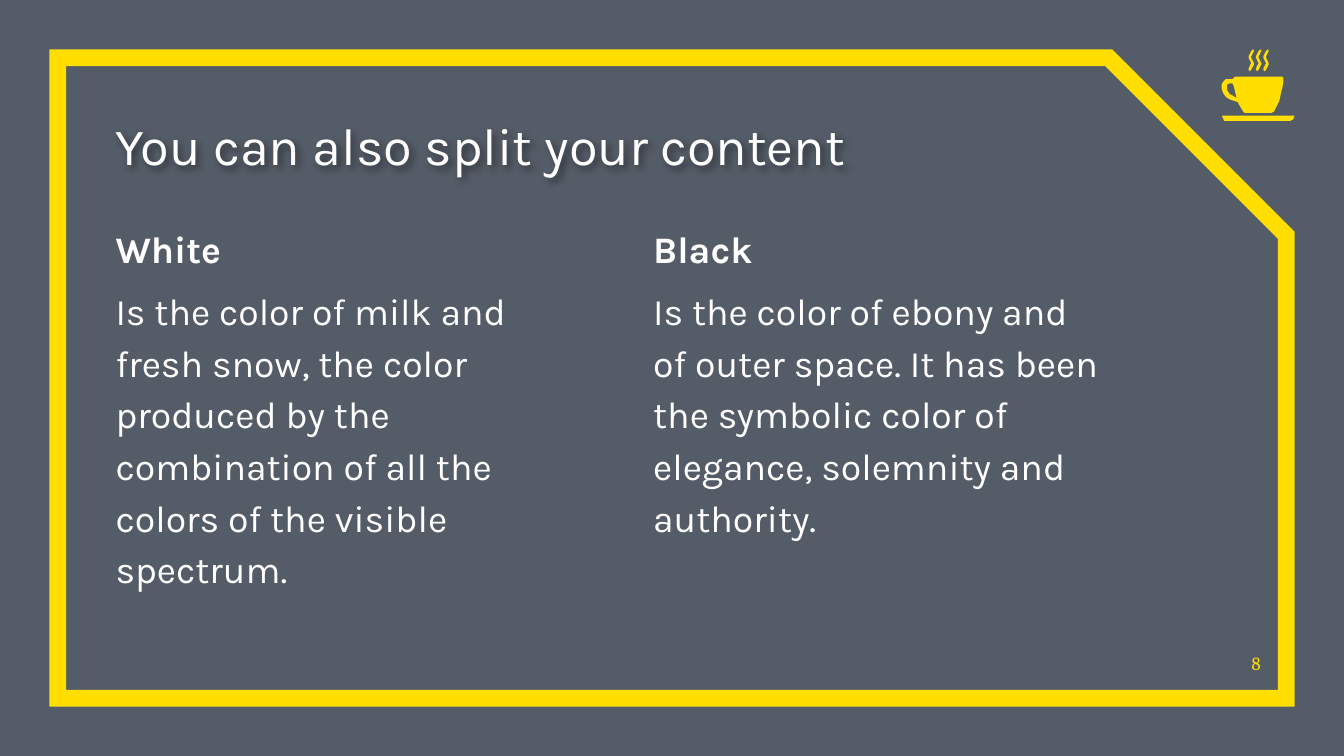
from lxml import etree
from pptx import Presentation
from pptx.dml.color import RGBColor
from pptx.enum.shapes import MSO_SHAPE as Shape
from pptx.enum.text import MSO_ANCHOR as Anchor, PP_ALIGN as Align
from pptx.oxml.ns import qn
from pptx.util import Inches, Pt

NAVY = RGBColor(0x04, 0x0F, 0x20)
YELLOW = RGBColor(0xFF, 0xDE, 0x00)
WHITE = RGBColor(0xFF, 0xFF, 0xFF)

SLIDE_WIDTH = 10
SLIDE_HEIGHT = SLIDE_WIDTH * 9 / 16
FRAME_MARGIN = 0.43
FRAME_HEIGHT = SLIDE_HEIGHT - 2 * FRAME_MARGIN
CORNER_CUT = 1.32
LEFT_MARGIN = 0.86
COLUMN_STEP = 4

COLUMNS = [
    ("White", "Is the color of milk and fresh snow, the color produced by the "
              "combination of all the colors of the visible spectrum."),
    ("Black", "Is the color of ebony and of outer space. It has been the "
              "symbolic color of elegance, solemnity and authority."),
]

HANDLE_HOLE = [
    (9.15, 0.62), (9.17, 0.62), (9.18, 0.64), (9.19, 0.68), (9.2, 0.73),
    (9.17, 0.71), (9.15, 0.7), (9.13, 0.67), (9.13, 0.63),
]
CUP = [
    (9.19, 0.57), (9.18, 0.58), (9.17, 0.59), (9.14, 0.59), (9.12, 0.59),
    (9.1, 0.61), (9.09, 0.63), (9.09, 0.66), (9.1, 0.69), (9.12, 0.72),
    (9.15, 0.74), (9.18, 0.75), (9.21, 0.76), (9.22, 0.78), (9.25, 0.83),
    (9.26, 0.84), (9.46, 0.84), (9.48, 0.83), (9.5, 0.79), (9.52, 0.75),
    (9.53, 0.7), (9.54, 0.66), (9.55, 0.61), (9.55, 0.58), (9.54, 0.57),
]
SAUCER = [
    (9.09, 0.86), (9.1, 0.88), (9.11, 0.9), (9.13, 0.9),
    (9.6, 0.9), (9.62, 0.89), (9.63, 0.87), (9.63, 0.86),
]
STEAM = [
    (0.03, 0.37), (0.02, 0.38), (0.01, 0.4), (0, 0.42), (0, 0.43),
    (0.01, 0.45), (0.02, 0.47), (0.01, 0.49), (0, 0.51), (0, 0.52),
    (0.01, 0.53), (0.02, 0.52), (0.03, 0.5), (0.04, 0.48), (0.04, 0.47),
    (0.03, 0.45), (0.02, 0.43), (0.02, 0.42), (0.03, 0.4), (0.04, 0.38),
    (0.04, 0.37),
]
STEAM_LEFT, STEAM_RIGHT, STEAM_COUNT = 9.29, 9.4, 3


def set_alpha(color_element, percent):
    etree.SubElement(color_element, qn("a:alpha"), val=str(percent * 1000))


def add_backdrop(slide):
    backdrop = slide.shapes.add_shape(
        Shape.RECTANGLE, 0, 0, Inches(SLIDE_WIDTH), Inches(SLIDE_HEIGHT))
    backdrop.shadow.inherit = False
    backdrop.fill.solid()
    backdrop.fill.fore_color.rgb = NAVY
    backdrop.line.fill.background()
    set_alpha(backdrop.element.spPr.find(".//" + qn("a:srgbClr")), 68)


def add_frame(slide):
    frame = slide.shapes.add_shape(
        Shape.SNIP_1_RECTANGLE, Inches(FRAME_MARGIN), Inches(FRAME_MARGIN),
        Inches(SLIDE_WIDTH - 2 * FRAME_MARGIN), Inches(FRAME_HEIGHT))
    frame.adjustments[0] = CORNER_CUT / FRAME_HEIGHT
    frame.shadow.inherit = False
    frame.fill.background()
    frame.line.color.rgb = YELLOW
    frame.line.width = Pt(9)
    outline = frame.element.spPr.find(qn("a:ln"))
    etree.SubElement(outline, qn("a:miter"), lim="800000")


def add_text_box(slide, left, top, width, height, anchor=Anchor.TOP):
    box = slide.shapes.add_textbox(
        Inches(left), Inches(top), Inches(width), Inches(height))
    frame = box.text_frame
    frame.word_wrap = True
    frame.vertical_anchor = anchor
    frame.margin_left = frame.margin_right = 0
    frame.margin_top = frame.margin_bottom = 0
    return box


def add_run(paragraph, text, size, font="Karla", color=WHITE, bold=False):
    run = paragraph.add_run()
    run.text = text
    run.font.name = font
    run.font.size = Pt(size)
    run.font.bold = bold
    run.font.color.rgb = color


def add_soft_shadow(shape):
    effects = etree.SubElement(shape.element.spPr, qn("a:effectLst"))
    shadow = etree.SubElement(
        effects, qn("a:outerShdw"), blurRad=str(Pt(4)), dist=str(Pt(2)),
        dir="2700000", algn="tl", rotWithShape="0")
    set_alpha(etree.SubElement(shadow, qn("a:srgbClr"), val="000000"), 43)


def add_title(slide, text):
    title = add_text_box(slide, LEFT_MARGIN, 0.78, 7.35, 0.53, Anchor.BOTTOM)
    add_run(title.text_frame.paragraphs[0], text, 28)
    add_soft_shadow(title)


def add_column(slide, left, heading, body):
    frame = add_text_box(slide, left, 1.63, 3.35, 3.11).text_frame
    heading_paragraph = frame.paragraphs[0]
    body_paragraph = frame.add_paragraph()
    body_paragraph.space_before = Pt(6)
    for paragraph in (heading_paragraph, body_paragraph):
        paragraph.line_spacing = 1.15
    add_run(heading_paragraph, heading, 20, bold=True)
    add_run(body_paragraph, body, 20)


def add_page_number(slide, number):
    box = add_text_box(slide, 9.11, 4.74, 0.27, 0.28, Anchor.BOTTOM)
    paragraph = box.text_frame.paragraphs[0]
    paragraph.alignment = Align.RIGHT
    add_run(paragraph, number, 10, "Cambria", YELLOW)


def add_outline(shapes, *contours):
    """Draw closed contours as one yellow shape; inner ones become holes."""
    first, *others = [[(Inches(x), Inches(y)) for x, y in contour]
                      for contour in contours]
    builder = shapes.build_freeform(*first[0])
    builder.add_line_segments(first[1:], close=True)
    for contour in others:
        builder.move_to(*contour[0])
        builder.add_line_segments(contour[1:], close=True)
    outline = builder.convert_to_shape()
    outline.shadow.inherit = False
    outline.fill.solid()
    outline.fill.fore_color.rgb = YELLOW
    outline.line.fill.background()


def add_coffee_icon(slide):
    shapes = slide.shapes.add_group_shape().shapes
    add_outline(shapes, HANDLE_HOLE, CUP)
    add_outline(shapes, SAUCER)
    step = (STEAM_RIGHT - STEAM_LEFT) / (STEAM_COUNT - 1)
    for index in range(STEAM_COUNT):
        left = STEAM_LEFT + index * step
        add_outline(shapes, [(left + x, y) for x, y in STEAM])


def main():
    presentation = Presentation()
    presentation.slide_width = Inches(SLIDE_WIDTH)
    presentation.slide_height = Inches(SLIDE_HEIGHT)
    slide = presentation.slides.add_slide(presentation.slide_layouts[6])
    add_backdrop(slide)
    add_frame(slide)
    add_title(slide, "You can also split your content")
    for index, (heading, body) in enumerate(COLUMNS):
        add_column(slide, LEFT_MARGIN + index * COLUMN_STEP, heading, body)
    add_page_number(slide, "8")
    add_coffee_icon(slide)
    presentation.save("out.pptx")


if __name__ == "__main__":
    main()
